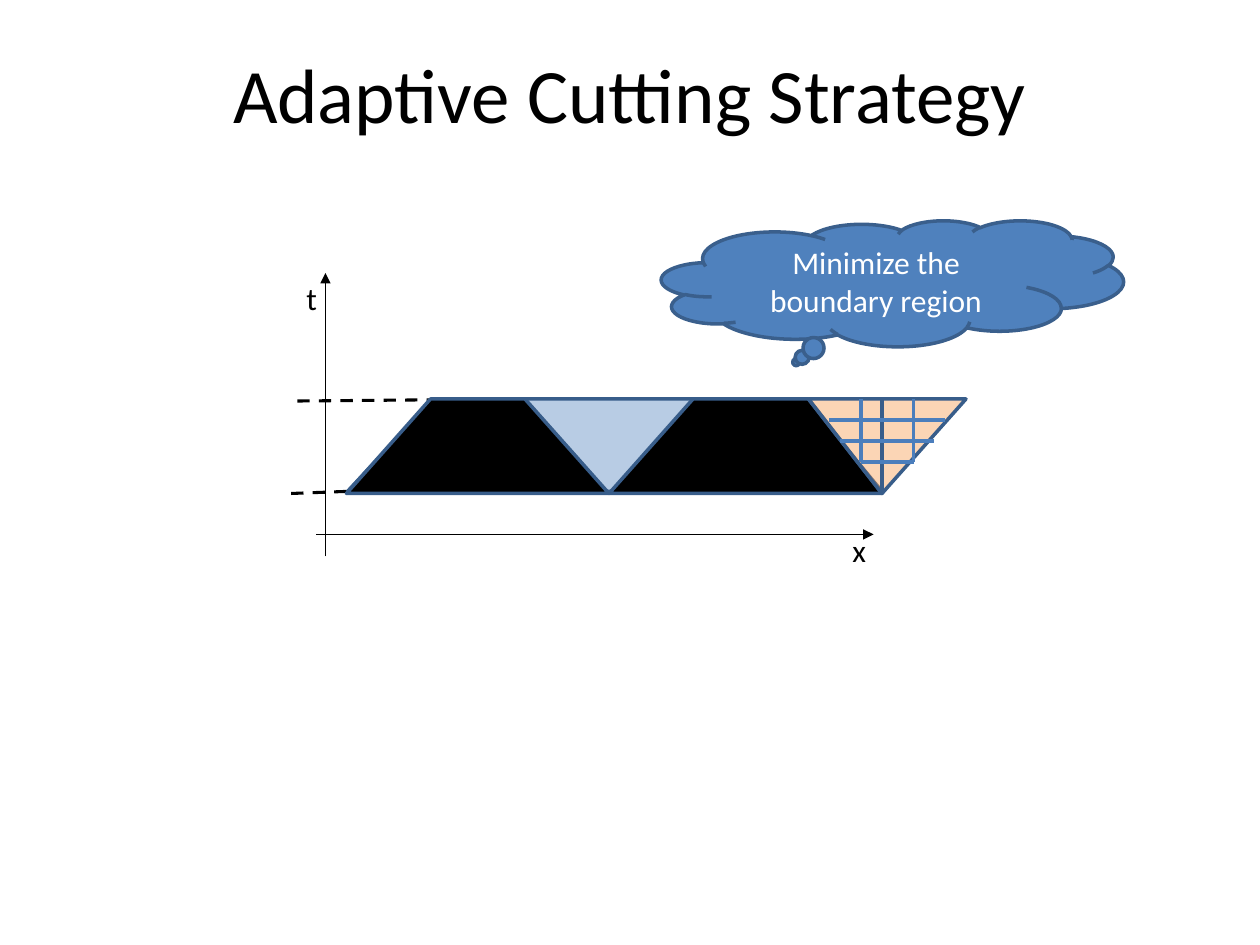
from pptx import Presentation
from pptx.dml.color import RGBColor
from pptx.enum.dml import MSO_LINE
from pptx.enum.shapes import MSO_CONNECTOR, MSO_SHAPE
from pptx.enum.text import MSO_ANCHOR, MSO_AUTO_SIZE, PP_ALIGN
from pptx.oxml.ns import qn
from pptx.util import Inches, Pt
from lxml.etree import SubElement

BLACK = RGBColor(0x00, 0x00, 0x00)
WHITE = RGBColor(0xFF, 0xFF, 0xFF)
BLUE = RGBColor(0x4F, 0x81, 0xBD)
ORANGE = RGBColor(0xF7, 0x96, 0x46)
OUTLINE = RGBColor(0x38, 0x5D, 0x8A)
CLOUD_OUTLINE = RGBColor(0x3A, 0x5F, 0x8C)
MESH = RGBColor(0x4B, 0x7E, 0xBC)


class Diagram:
    """Places elements on a grid of 120 columns by 90 rows."""

    font = "Calibri"
    cell = Inches(10) / 120

    def __init__(self, slide):
        self.slide = slide

    def grid(self, *lengths):
        return [round(length * self.cell) for length in lengths]

    def add_text(self, paragraph, text, size, color):
        run = paragraph.add_run()
        run.text = text
        run.font.name = self.font
        run.font.size = Pt(size)
        run.font.color.rgb = color

    def title(self, text, *box):
        title = self.slide.shapes.title
        title.left, title.top, title.width, title.height = self.grid(*box)
        title.text_frame.vertical_anchor = MSO_ANCHOR.MIDDLE
        paragraph = title.text_frame.paragraphs[0]
        paragraph.alignment = PP_ALIGN.CENTER
        self.add_text(paragraph, text, 44, BLACK)

    def label(self, text, *box):
        frame = self.slide.shapes.add_textbox(*self.grid(*box)).text_frame
        frame.word_wrap = False
        frame.auto_size = MSO_AUTO_SIZE.SHAPE_TO_FIT_TEXT
        self.add_text(frame.paragraphs[0], text, 18, BLACK)

    def paint(self, shape, fill, outline, opacity=None):
        shape.shadow.inherit = False
        shape.fill.solid()
        shape.fill.fore_color.rgb = fill
        if opacity is not None:
            color = shape._element.spPr.find(qn("a:solidFill"))[0]
            SubElement(color, qn("a:alpha")).set("val", str(opacity * 1000))
        shape.line.color.rgb = outline
        shape.line.width = Pt(2)

    def region(self, corners, fill, opacity=None):
        start, *others = [self.grid(*corner) for corner in corners]
        builder = self.slide.shapes.build_freeform(*start)
        builder.add_line_segments(others, close=True)
        self.paint(builder.convert_to_shape(), fill, OUTLINE, opacity)

    def line(self, x1, y1, x2, y2, color=BLACK, width=2, dash=None, arrow=False):
        connector = self.slide.shapes.add_connector(
            MSO_CONNECTOR.STRAIGHT, *self.grid(x1, y1, x2, y2))
        connector.line.color.rgb = color
        connector.line.width = Pt(width)
        if dash:
            connector.line.dash_style = dash
        properties = connector._element.spPr
        if arrow:
            SubElement(properties.find(qn("a:ln")), qn("a:tailEnd")).set("type", "triangle")
        SubElement(properties, qn("a:effectLst"))

    def thought(self, text, *box):
        cloud = self.slide.shapes.add_shape(MSO_SHAPE.CLOUD_CALLOUT, *self.grid(*box))
        self.paint(cloud, BLUE, CLOUD_OUTLINE)
        frame = cloud.text_frame
        frame.word_wrap = True
        frame.vertical_anchor = MSO_ANCHOR.MIDDLE
        frame.paragraphs[0].alignment = PP_ALIGN.CENTER
        self.add_text(frame.paragraphs[0], text, 18, WHITE)


def main():
    deck = Presentation()
    deck.slide_width, deck.slide_height = Inches(10), Inches(7.5)
    diagram = Diagram(deck.slides.add_slide(deck.slide_layouts[5]))
    top, bottom = 38, 47  # rows bounding the time slab
    split, end = 58, 84   # columns where neighbouring regions meet

    diagram.title("Adaptive Cutting Strategy", 6, 3.6, 108, 10.4)

    # Space axis and time label
    diagram.line(30.1, 50.9, 83.2, 50.9, width=0.75, arrow=True)
    diagram.label("t", 28, 26, 3.6, 4.8)

    # Whole slab with its dashed time limits
    diagram.region([(33.1, 46.8), (41.3, top), (76.7, top), (end, 46.8)], BLUE, 40)
    for x, y, limit in ((33, 46.8, bottom), (50, top, 38.2)):
        diagram.line(x, y, 27.7, limit, width=1.75, dash=MSO_LINE.DASH)

    # Black trapezoids
    for left, upper_left, upper_right, right in ((33, 41, 50, split), (split, 66, 77, end)):
        diagram.region([(left, bottom), (upper_left, top), (upper_right, top),
                        (right, bottom)], BLACK)

    # Boundary triangles
    for outer in (92, 77):
        diagram.region([(outer, top), (end, bottom), (end, top)], ORANGE, 40)

    # Time axis and space label
    diagram.line(31, 53, 31, 26, width=0.75, arrow=True)
    diagram.label("x", 80, 50, 4.2, 4.8)

    # Mesh over the boundary region
    for x1, x2, row in ((80, 89, 42), (82, end, 44), (end, 87, 44), (79, 90, 40)):
        diagram.line(x1, row, x2, row, MESH)
    for column in (82, 87):
        diagram.line(column, top, column, 44, MESH)

    diagram.thought("Minimize the boundary region", 63, 21, 44, 12)
    deck.save("out.pptx")


if __name__ == "__main__":
    main()
